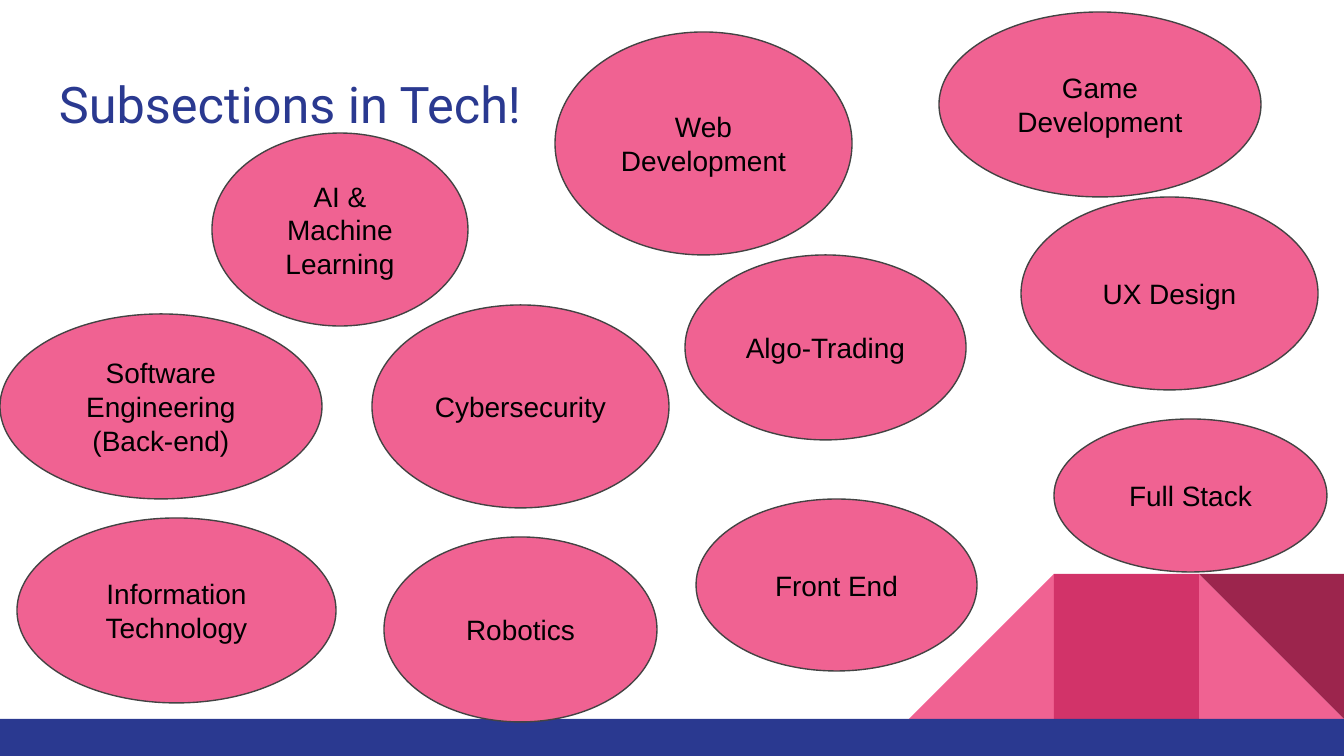
from pptx import Presentation
from pptx.dml.color import RGBColor
from pptx.enum.shapes import MSO_SHAPE
from pptx.enum.text import MSO_ANCHOR, MSO_AUTO_SIZE, PP_ALIGN
from pptx.util import Pt

OVAL, RECT, WEDGE = MSO_SHAPE.OVAL, MSO_SHAPE.RECTANGLE, MSO_SHAPE.RIGHT_TRIANGLE
TOP, MIDDLE = MSO_ANCHOR.TOP, MSO_ANCHOR.MIDDLE
LEFT, CENTER = PP_ALIGN.LEFT, PP_ALIGN.CENTER
FIXED = MSO_AUTO_SIZE.NONE

SCALE = 914400 / 134.4
WIDTH, HEIGHT = 1344, 756
PAD = 13
PINK, ROSE, WINE = "F06292", "D23369", "9C254D"
BLUE, GRAY, BLACK = "2A3990", "434343", "000000"

TITLE = {"size": Pt(27), "name": "Roboto", "bold": False}
LABEL = {"size": Pt(15), "name": "Arial"}

# Label and box (left, top, width, height) of each bubble, back to front
TOPICS = [
    ("Cybersecurity", (372, 305, 297, 203)),
    ("AI & Machine Learning", (212, 133, 256, 193)),
    ("Game Development", (939, 12, 322, 185)),
    ("Web Development", (555, 32, 297, 223)),
    ("Full Stack", (1054, 419, 273, 153)),
    ("Software Engineering (Back-end)", (0, 314, 322, 185)),
    ("Front End", (696, 499, 281, 172)),
    ("Robotics", (384, 537, 273, 185)),
    ("Information Technology", (17, 518, 319, 185)),
    ("UX Design", (1021, 197, 297, 193)),
    ("Algo-Trading", (685, 255, 281, 185)),
]


def px(n):
    return round(n * SCALE)


def color(code):
    return RGBColor.from_string(code)


def assign(item, values):
    for key, value in values.items():
        setattr(item, key, value)


def write(shape, text, style, ink, align, anchor):
    frame = shape.text_frame
    pads = dict.fromkeys(
        ("margin_left", "margin_top", "margin_right", "margin_bottom"), px(PAD))
    assign(frame, {**pads, "word_wrap": True, "auto_size": FIXED,
                   "vertical_anchor": anchor})
    frame.text = text
    line = frame.paragraphs[0]
    line.alignment = align
    font = line.runs[0].font
    assign(font, style)
    font.color.rgb = color(ink)


def draw(slide, kind, box, fill):
    shape = slide.shapes.add_shape(kind, *map(px, box))
    shape.shadow.inherit = False
    shape.fill.solid()
    shape.fill.fore_color.rgb = color(fill)
    shape.line.fill.background()
    return shape


def add_decor(slide, box):
    """Three square tiles set at the right end of a floor bar."""
    left, top, width, height = box
    side = 145
    floor = top + side
    start = left + width - 3 * side
    tiles = [(2, WEDGE, PINK), (0, WEDGE, PINK), (1, RECT, ROSE), (2, WEDGE, WINE)]
    for col, kind, fill in tiles:
        tile = draw(slide, kind, (start + col * side, top, side, side), fill)
        if col == 0:
            tile.element.spPr.get_or_add_xfrm().set("flipH", "1")
        if fill == WINE:
            tile.rotation = 180
    draw(slide, RECT, (left, floor, width, height - side), BLUE)


def add_title(slide, box, text):
    title = slide.shapes.title
    assign(title, dict(zip(("left", "top", "width", "height"), map(px, box))))
    write(title, text, TITLE, BLUE, LEFT, TOP)


def add_bubble(slide, box, text):
    bubble = draw(slide, OVAL, box, PINK)
    bubble.line.color.rgb = color(GRAY)
    bubble.line.width = Pt(0.75)
    write(bubble, text, LABEL, BLACK, CENTER, MIDDLE)


def main():
    deck = Presentation()
    assign(deck, {"slide_width": px(WIDTH), "slide_height": px(HEIGHT)})
    slide = deck.slides.add_slide(deck.slide_layouts[5])
    add_decor(slide, (0, 574, WIDTH, HEIGHT - 574))
    add_title(slide, (46, 60, 1252, 89), "Subsections in Tech!")
    for text, box in TOPICS:
        add_bubble(slide, box, text)
    deck.save("out.pptx")


if __name__ == "__main__":
    main()
